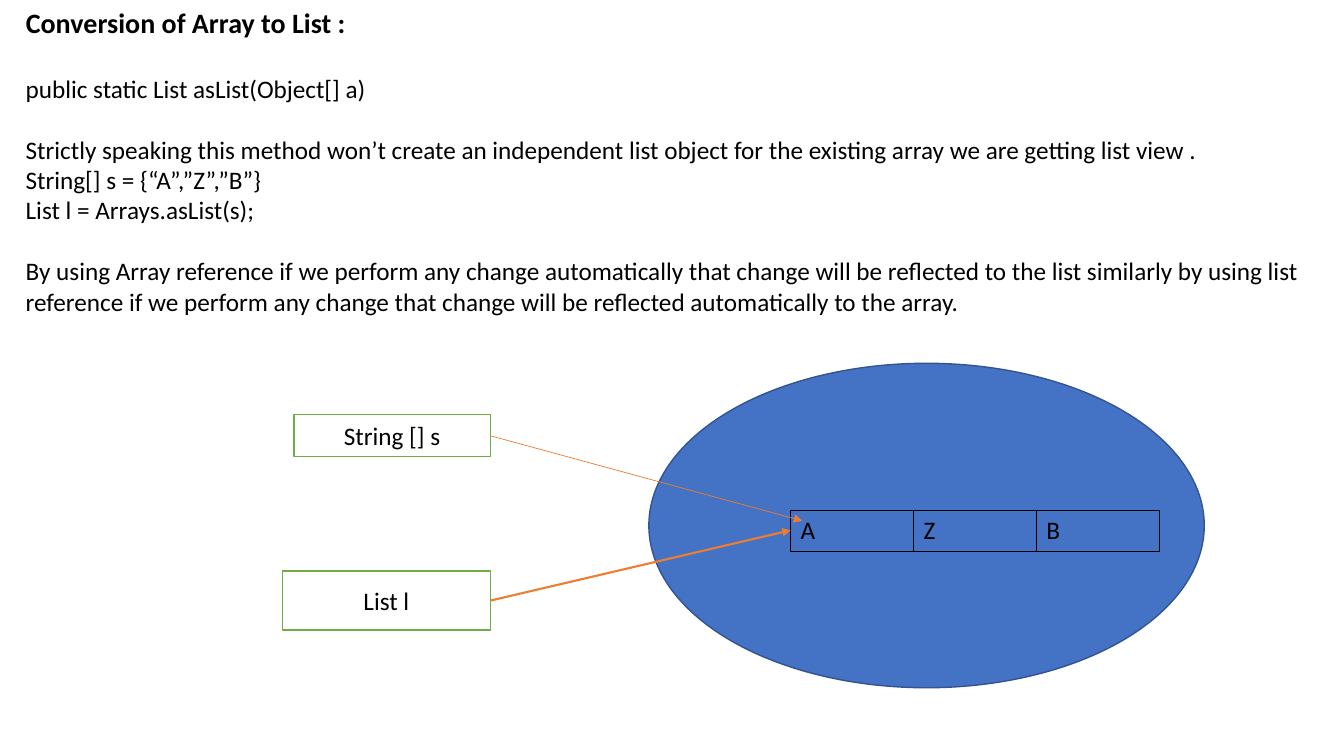
from dataclasses import dataclass

from pptx import Presentation
from pptx.dml.color import RGBColor
from pptx.enum.shapes import MSO_CONNECTOR, MSO_SHAPE
from pptx.enum.text import MSO_ANCHOR as Anchor, MSO_AUTO_SIZE, PP_ALIGN as Align
from pptx.oxml.ns import qn
from pptx.shapes.autoshape import Shape
from pptx.slide import Slide
from pptx.table import _Cell as Cell
from pptx.text.text import _Paragraph as Paragraph
from pptx.util import Emu, Pt
from lxml.etree import SubElement

BLACK = RGBColor(0x00, 0x00, 0x00)
WHITE = RGBColor(0xFF, 0xFF, 0xFF)
BLUE = RGBColor(0x44, 0x72, 0xC4)
DARK_BLUE = RGBColor(0x32, 0x54, 0x91)
GREEN = RGBColor(0x70, 0xAD, 0x47)
ORANGE = RGBColor(0xED, 0x7D, 0x31)
FONT = "Calibri"
EMU_PER_PX = 9525
LINE_GAP = 22  # points: one line of 18 pt text


@dataclass(frozen=True)
class Box:
    left: int
    top: int
    width: int
    height: int

    def emu(self) -> tuple[Emu, Emu, Emu, Emu]:
        return px(self.left), px(self.top), px(self.width), px(self.height)


@dataclass(frozen=True)
class Reference:
    """A variable and the arrow from it to the array."""
    label: str
    box: Box
    target: tuple[int, int]
    arrow_width: float


@dataclass(frozen=True)
class Passage:
    text: str
    gap_before: int = 0


HEADING = "Conversion of Array to List :"
HEADING_BOX = Box(15, 0, 1238, 42)
PASSAGES = [
    Passage("public static List asList(Object[] a)"),
    Passage("Strictly speaking this method won’t create an independent list object "
            "for the existing array we are getting list view .", LINE_GAP),
    Passage("String[] s = {“A”,”Z”,”B”}"),
    Passage("List l = Arrays.asList(s);"),
    Passage("By using Array reference if we perform any change automatically that change "
            "will be reflected to the list similarly by using list reference if we perform "
            "any change that change will be reflected automatically to the array.", LINE_GAP),
]
PASSAGES_BOX = Box(15, 65, 1238, 245)
HEAP_BOX = Box(618, 346, 529, 309)
ARRAY_VALUES = ["A", "Z", "B"]
ARRAY_BOX = Box(753, 486, 351, 39)
REFERENCES = [
    Reference("String [] s", Box(280, 395, 187, 40), (764, 496), 0.5),
    Reference("List l", Box(269, 544, 198, 56), (753, 505), 1.5),
]
RIGHT_SIDE = 3


def px(length: int) -> Emu:
    return Emu(length * EMU_PER_PX)


def write(paragraph: Paragraph, text: str, size: int = 18, bold: bool = False,
          align: Align = Align.LEFT) -> None:
    paragraph.text = text
    paragraph.alignment = align
    font = paragraph.font
    font.name, font.size, font.bold = FONT, Pt(size), bold
    font.color.rgb = BLACK


def add_heading(slide: Slide) -> None:
    heading = slide.shapes.title
    heading.left, heading.top, heading.width, heading.height = HEADING_BOX.emu()
    frame = heading.text_frame
    frame.auto_size = MSO_AUTO_SIZE.NONE
    frame.vertical_anchor = Anchor.TOP
    write(frame.paragraphs[0], HEADING, size=20, bold=True)


def add_passages(slide: Slide) -> None:
    frame = slide.shapes.add_textbox(*PASSAGES_BOX.emu()).text_frame
    frame.word_wrap = True
    for index, passage in enumerate(PASSAGES):
        paragraph = frame.add_paragraph() if index else frame.paragraphs[0]
        write(paragraph, passage.text)
        paragraph.space_before = Pt(passage.gap_before)


def add_outlined(slide: Slide, kind: MSO_SHAPE, box: Box, fill: RGBColor,
                 outline: RGBColor) -> Shape:
    shape = slide.shapes.add_shape(kind, *box.emu())
    shape.shadow.inherit = False
    shape.fill.solid()
    shape.fill.fore_color.rgb = fill
    shape.line.color.rgb = outline
    shape.line.width = Pt(1)
    return shape


def add_borders(cell: Cell) -> None:
    properties = cell._tc.get_or_add_tcPr()
    for side in ("lnL", "lnR", "lnT", "lnB"):
        border = SubElement(properties, qn(f"a:{side}"), w=str(Pt(1)))
        fill = SubElement(border, qn("a:solidFill"))
        SubElement(fill, qn("a:srgbClr"), val=str(BLACK))


def add_array(slide: Slide) -> None:
    table = slide.shapes.add_table(1, len(ARRAY_VALUES), *ARRAY_BOX.emu()).table
    table.first_row = table.horz_banding = False
    for cell, value in zip(table.iter_cells(), ARRAY_VALUES):
        add_borders(cell)
        cell.fill.background()
        write(cell.text_frame.paragraphs[0], value)


def add_reference(slide: Slide, reference: Reference) -> None:
    variable = add_outlined(slide, MSO_SHAPE.RECTANGLE, reference.box, WHITE, GREEN)
    variable.text_frame.vertical_anchor = Anchor.MIDDLE
    write(variable.text_frame.paragraphs[0], reference.label, align=Align.CENTER)

    target_x, target_y = map(px, reference.target)
    arrow = slide.shapes.add_connector(MSO_CONNECTOR.STRAIGHT, 0, 0, target_x, target_y)
    arrow.begin_connect(variable, RIGHT_SIDE)
    arrow.line.color.rgb = ORANGE
    arrow.line.width = Pt(reference.arrow_width)
    SubElement(arrow.line._get_or_add_ln(), qn("a:tailEnd"), type="triangle")
    SubElement(arrow._element.spPr, qn("a:effectLst"))


def main() -> None:
    presentation = Presentation()
    presentation.slide_width, presentation.slide_height = px(1280), px(720)
    slide = presentation.slides.add_slide(presentation.slide_layouts.get_by_name("Title Only"))
    add_heading(slide)
    add_passages(slide)
    add_outlined(slide, MSO_SHAPE.OVAL, HEAP_BOX, BLUE, DARK_BLUE)
    add_array(slide)
    for reference in REFERENCES:
        add_reference(slide, reference)
    presentation.save("out.pptx")


if __name__ == "__main__":
    main()
